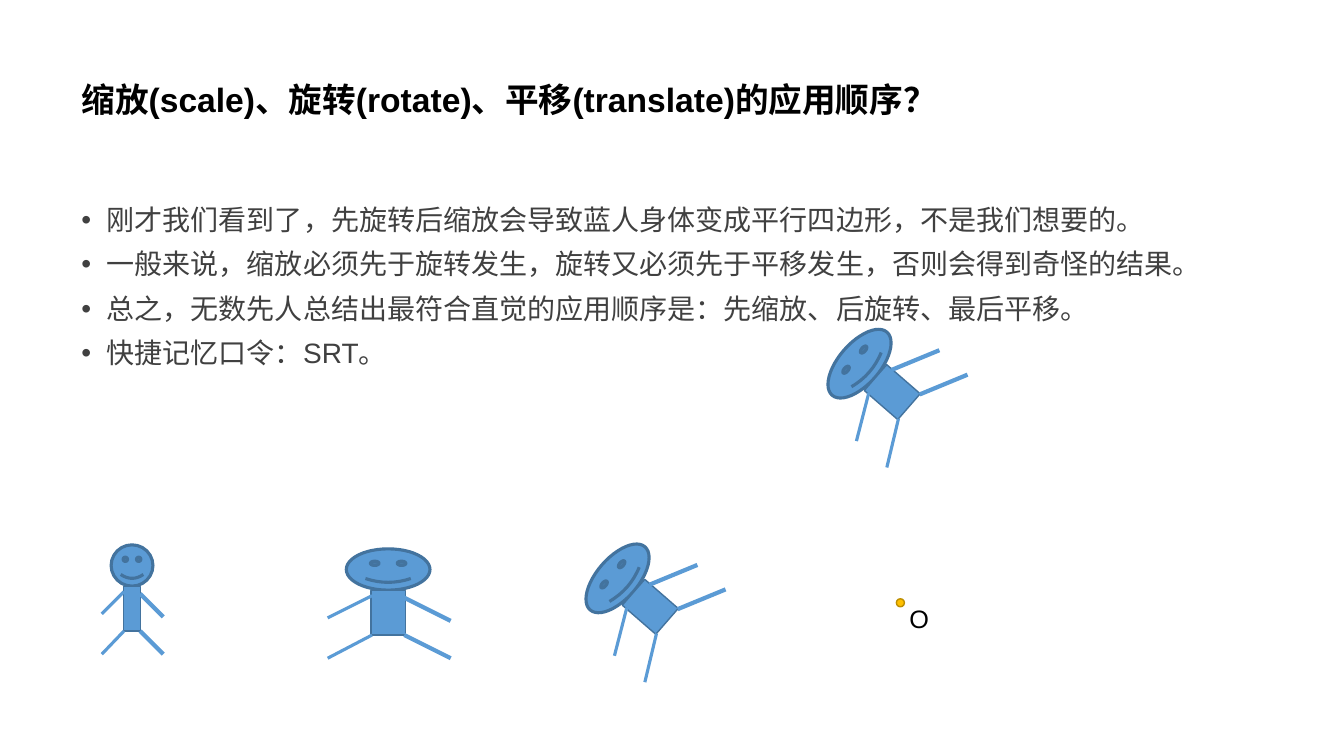
from math import cos, radians, sin

from lxml.etree import SubElement
from pptx import Presentation
from pptx.dml.color import RGBColor
from pptx.enum.shapes import MSO_CONNECTOR, MSO_SHAPE
from pptx.enum.text import MSO_ANCHOR, MSO_AUTO_SIZE
from pptx.oxml.ns import qn
from pptx.util import Inches, Pt

BLUE, DARK_BLUE = "5B9BD5", "43739E"
TITLE = "缩放(scale)、旋转(rotate)、平移(translate)的应用顺序？"
POINTS = [
    "刚才我们看到了，先旋转后缩放会导致蓝人身体变成平行四边形，不是我们想要的。",
    "一般来说，缩放必须先于旋转发生，旋转又必须先于平移发生，否则会得到奇怪的结果。",
    "总之，无数先人总结出最符合直觉的应用顺序是：先缩放、后旋转、最后平移。",
    "快捷记忆口令：SRT。",
]
LIMBS = [
    ((-0.08, -0.17), (-0.3, 0.05), 2.25),
    ((0.08, -0.15), (0.31, 0.08), 3),
    ((-0.08, 0.22), (-0.3, 0.45), 2.25),
    ((0.08, 0.22), (0.31, 0.45), 3),
]
PEOPLE = [
    (1.31, 6.04, 1, 0),
    (3.85, 6.08, 2, 0),
    (6.45, 6.02, 2, 311),
    (8.85, 3.89, 2, 311),
]


def color(value):
    return RGBColor.from_string(value)


def set_attrs(obj, values):
    for name, value in values.items():
        setattr(obj, name, value)


def add_bullet(p):
    pPr = p._p.get_or_add_pPr()
    pPr.set("marL", str(Inches(0.25)))
    pPr.set("indent", str(Inches(-0.25)))
    SubElement(pPr, qn("a:buFont")).set("typeface", "Arial")
    SubElement(pPr, qn("a:buChar")).set("char", "•")


def add_text(shapes, box, lines, size, fill, frame, bold=False, bullet=False, para=None):
    tf = shapes.add_textbox(*map(Inches, box)).text_frame
    set_attrs(tf, frame)
    for i, line in enumerate(lines):
        p = tf.paragraphs[0] if i == 0 else tf.add_paragraph()
        if bullet:
            add_bullet(p)
        set_attrs(p, para or {})
        if i:
            p.space_before = Pt(10)
        r = p.add_run()
        r.text = line
        set_attrs(r.font, {"name": "Arial", "size": Pt(size), "bold": bold})
        r.font.color.rgb = color(fill)


def add_shape(shapes, kind, center, size, fill, line, width, angle=0):
    (cx, cy), (w, h) = center, size
    sp = shapes.add_shape(kind, Inches(cx - w / 2), Inches(cy - h / 2), Inches(w), Inches(h))
    sp.rotation = angle
    sp.shadow.inherit = False
    sp.fill.solid()
    sp.fill.fore_color.rgb = color(fill)
    sp.line.color.rgb = color(line)
    sp.line.width = Pt(width)


def add_line(shapes, start, end, width):
    cn = shapes.add_connector(MSO_CONNECTOR.STRAIGHT, *map(Inches, (*start, *end)))
    cn.line.color.rgb = color(BLUE)
    cn.line.width = Pt(width)
    SubElement(cn._element.spPr, qn("a:effectLst"))


def add_person(s, cx, cy, stretch, angle):
    def place(x, y):
        x, a = x * stretch, radians(angle)
        return cx + x * cos(a) - y * sin(a), cy + x * sin(a) + y * cos(a)

    shapes = s.shapes.add_group_shape().shapes
    add_shape(shapes, MSO_SHAPE.SMILEY_FACE, place(0, -0.43), (0.415 * stretch, 0.41),
              BLUE, DARK_BLUE, 2.25, angle)
    add_shape(shapes, MSO_SHAPE.RECTANGLE, place(0, 0), (0.17 * stretch, 0.44),
              BLUE, DARK_BLUE, 1, angle)
    for start, end, width in LIMBS:
        add_line(shapes, place(*start), place(*end), width)


def add_origin(s):
    shapes = s.shapes.add_group_shape().shapes
    add_text(shapes, (8.92, 5.94, 0.39, 0.4), ["O"], 18, "000000",
             {"word_wrap": False, "auto_size": MSO_AUTO_SIZE.SHAPE_TO_FIT_TEXT})
    add_shape(shapes, MSO_SHAPE.OVAL, (8.93, 5.98), (0.08, 0.08), "FFC000", "BD8E00", 1)


def main():
    prs = Presentation()
    set_attrs(prs, {"slide_width": Inches(13.33), "slide_height": Inches(7.5)})
    s = prs.slides.add_slide(prs.slide_layouts[6])
    add_text(s.shapes, (0.71, 0.28, 11.5, 1.45), [TITLE], 24, "000000",
             {"word_wrap": True, "vertical_anchor": MSO_ANCHOR.MIDDLE},
             bold=True, para={"line_spacing": 0.9})
    add_text(s.shapes, (0.71, 2, 11.5, 4.76), POINTS, 20, "404040",
             {"word_wrap": True}, bullet=True, para={"line_spacing": 0.9})
    for person in PEOPLE:
        add_person(s, *person)
    add_origin(s)
    prs.save("out.pptx")


if __name__ == "__main__":
    main()
